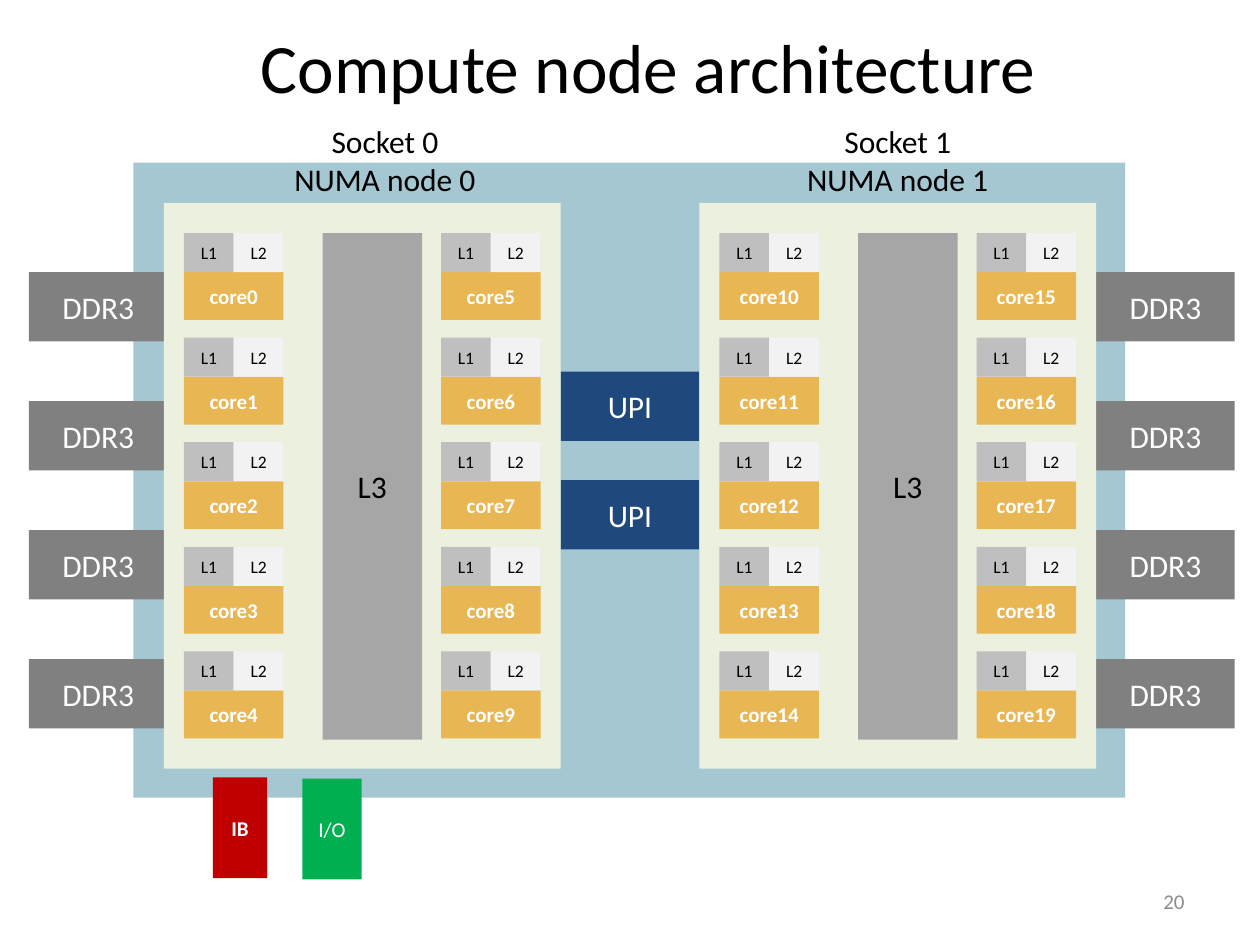
from lxml import etree
from pptx import Presentation
from pptx.dml.color import RGBColor
from pptx.enum.shapes import MSO_SHAPE
from pptx.enum.text import MSO_ANCHOR, PP_ALIGN
from pptx.oxml.ns import qn
from pptx.util import Inches, Pt

FONT = "Calibri"
BLACK, WHITE = "000000", "FFFFFF"
BOARD, SOCKET, MEMORY, LINK = "116E8A", "EBF1DE", "808080", "1F497D"
CORE, L1_CACHE, L2_CACHE, L3_CACHE = "E8B652", "BFBFBF", "F2F2F2", "A6A6A6"
INFINIBAND, IO_PORT, PAGE_NUMBER = "C00000", "00B050", "8C8C8C"

CORES_PER_COLUMN = 5
CORE_WIDTH, CORE_HEIGHT, CACHE_HEIGHT, CORE_PITCH = 0.79, 0.38, 0.31, 0.83
BUS_WIDTH, BUS_HEIGHT = 1.1, 0.55


def color(hex_value):
    return RGBColor.from_string(hex_value)


def format_text(text_frame, size, font_color, bold=False, align=PP_ALIGN.CENTER):
    for paragraph in text_frame.paragraphs:
        paragraph.alignment = align
        for run in paragraph.runs:
            run.font.name = FONT
            run.font.size = Pt(size)
            run.font.bold = bold
            run.font.color.rgb = color(font_color)


def add_block(shapes, left, top, width, height, fill,
              text="", size=18, font_color=WHITE, bold=False):
    """Add a borderless rectangle with an optional centred label."""
    block = shapes.add_shape(MSO_SHAPE.RECTANGLE, Inches(left), Inches(top),
                             Inches(width), Inches(height))
    block.shadow.inherit = False
    block.fill.solid()
    block.fill.fore_color.rgb = color(fill)
    block.line.fill.background()
    if text:
        text_frame = block.text_frame
        text_frame.margin_left = text_frame.margin_right = 0
        text_frame.vertical_anchor = MSO_ANCHOR.MIDDLE
        text_frame.text = text
        format_text(text_frame, size, font_color, bold)
    return block


def add_label(slide, left, top, width, height, text, size, font_color,
              align=PP_ALIGN.CENTER, anchor=MSO_ANCHOR.TOP):
    text_frame = slide.shapes.add_textbox(Inches(left), Inches(top), Inches(width),
                                          Inches(height)).text_frame
    text_frame.word_wrap = True
    text_frame.vertical_anchor = anchor
    text_frame.text = text
    format_text(text_frame, size, font_color, align=align)


def add_title(slide, left, top, width, height, text):
    title = slide.shapes.title
    title.left, title.top = Inches(left), Inches(top)
    title.width, title.height = Inches(width), Inches(height)
    title.text_frame.text = text
    title.text_frame.vertical_anchor = MSO_ANCHOR.MIDDLE
    format_text(title.text_frame, 39.6, BLACK)


def add_board(slide, left, top, width, height):
    board = add_block(slide.shapes, left, top, width, height, BOARD)
    fill_color = board.fill._xPr.find(qn("a:solidFill"))[0]
    etree.SubElement(fill_color, qn("a:alpha")).set("val", "38000")


def add_memory_channels(slide, left, top, pitch=1.024, count=4):
    group = slide.shapes.add_group_shape()
    for index in range(count):
        add_block(group.shapes, left, top + index * pitch, BUS_WIDTH, BUS_HEIGHT,
                  MEMORY, "DDR3")


def add_core(shapes, left, top, number):
    """Add a core with its L1 and L2 caches on top."""
    half = CORE_WIDTH / 2
    add_block(shapes, left, top + CACHE_HEIGHT, CORE_WIDTH, CORE_HEIGHT, CORE,
              f"core{number}", 12, bold=True)
    add_block(shapes, left, top, half, CACHE_HEIGHT, L1_CACHE, "L1", 10, BLACK)
    add_block(shapes, left + half, top, half, CACHE_HEIGHT, L2_CACHE, "L2", 10, BLACK)


def add_socket(slide, left, top, width, height, first_core):
    """Add a socket: shared L3 between two columns of cores."""
    shapes = slide.shapes.add_group_shape().shapes
    add_block(shapes, left, top, width, height, SOCKET)
    inner_top = top + 0.24
    add_block(shapes, left + 1.26, inner_top, CORE_WIDTH, 4.02, L3_CACHE,
              "L3", font_color=BLACK)
    for column, offset in enumerate((0.16, 2.2)):
        for row in range(CORES_PER_COLUMN):
            add_core(shapes, left + offset, inner_top + row * CORE_PITCH,
                     first_core + column * CORES_PER_COLUMN + row)


def main():
    presentation = Presentation()
    presentation.slide_width, presentation.slide_height = Inches(10), Inches(7.5)
    slide = presentation.slides.add_slide(presentation.slide_layouts[5])

    add_title(slide, 0.59, 0.2, 9.11, 0.64, "Compute node architecture")
    add_board(slide, 1.06, 1.29, 7.87, 5.04)
    for left in (0.23, 8.7):
        add_memory_channels(slide, left, 2.16)
    for top in (2.95, 3.81):
        add_block(slide.shapes, 4.45, top, BUS_WIDTH, BUS_HEIGHT, LINK, "UPI")
    for index, (label_left, socket_left) in enumerate(((2.13, 1.3), (6.2, 5.55))):
        add_label(slide, label_left, 0.92, 1.85, 1.01,
                  f"Socket {index}\nNUMA node {index}", 18, BLACK)
        add_socket(slide, socket_left, 1.61, 3.15, 4.49,
                   first_core=index * 2 * CORES_PER_COLUMN)
    add_block(slide.shapes, 1.69, 6.17, 0.43, 0.8, INFINIBAND, "IB", 12, bold=True)
    add_block(slide.shapes, 2.4, 6.18, 0.47, 0.8, IO_PORT, "I/O", 12)
    add_label(slide, 7.17, 6.95, 2.33, 0.4, "20", 12, PAGE_NUMBER,
              PP_ALIGN.RIGHT, MSO_ANCHOR.MIDDLE)

    presentation.save("out.pptx")


if __name__ == "__main__":
    main()
